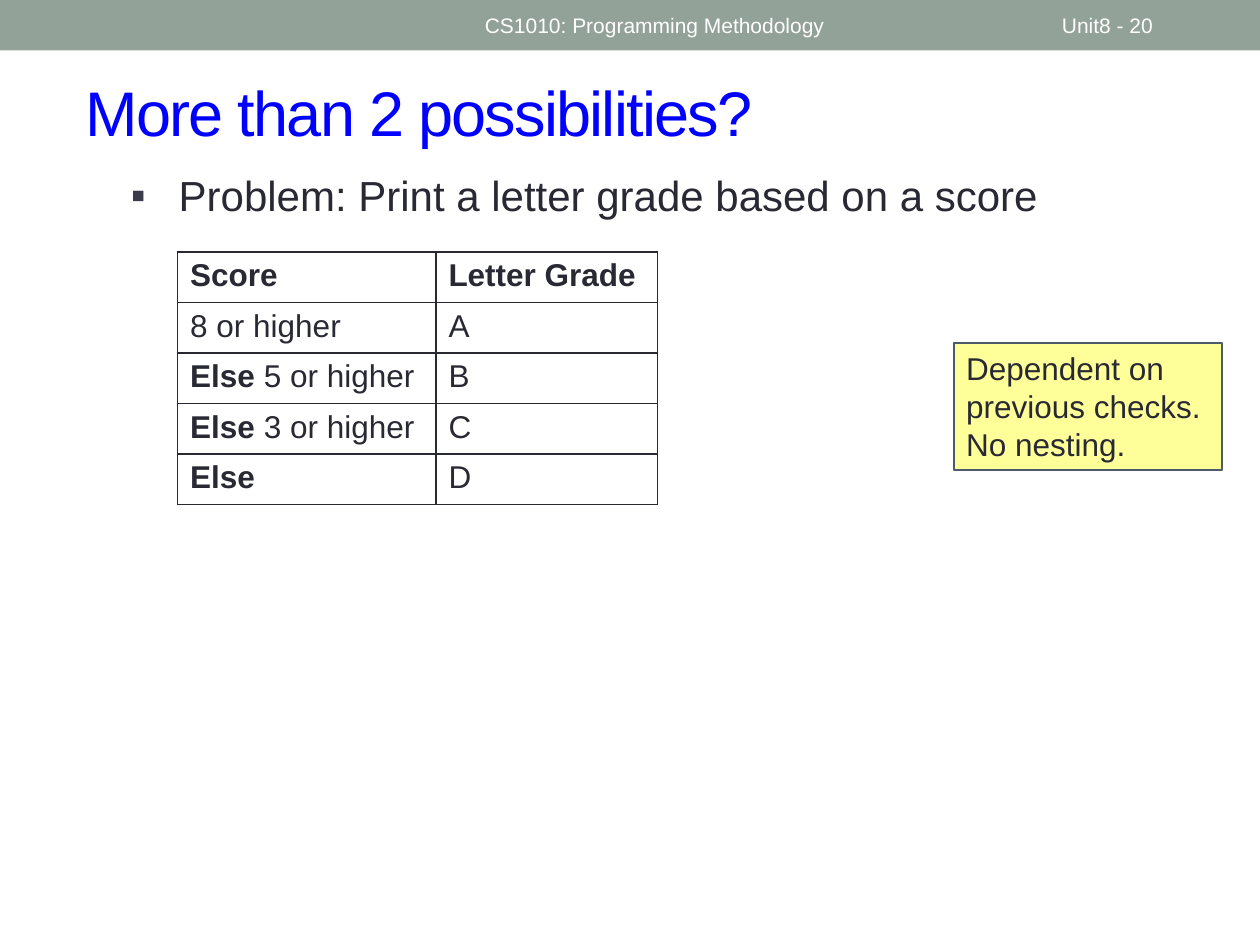
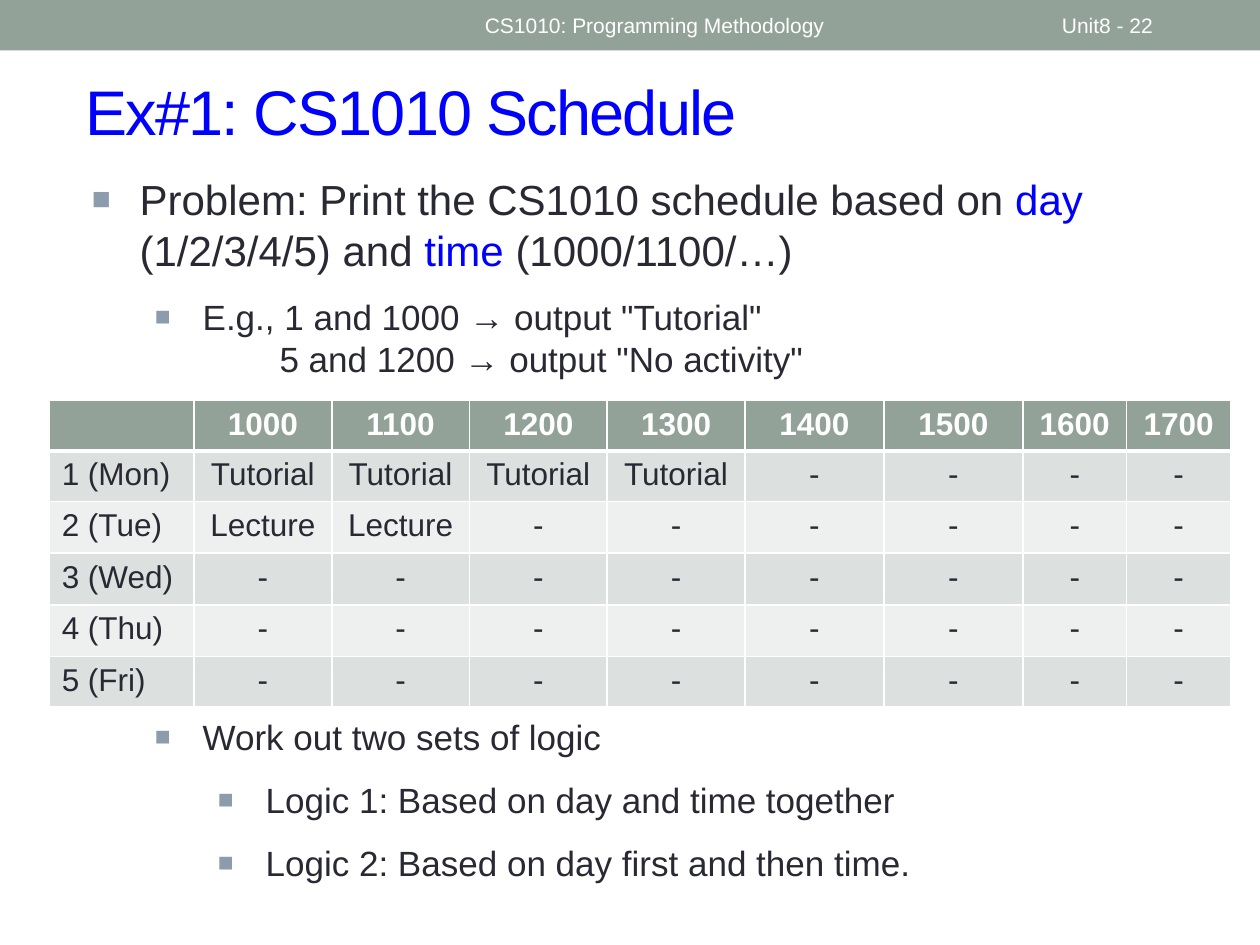
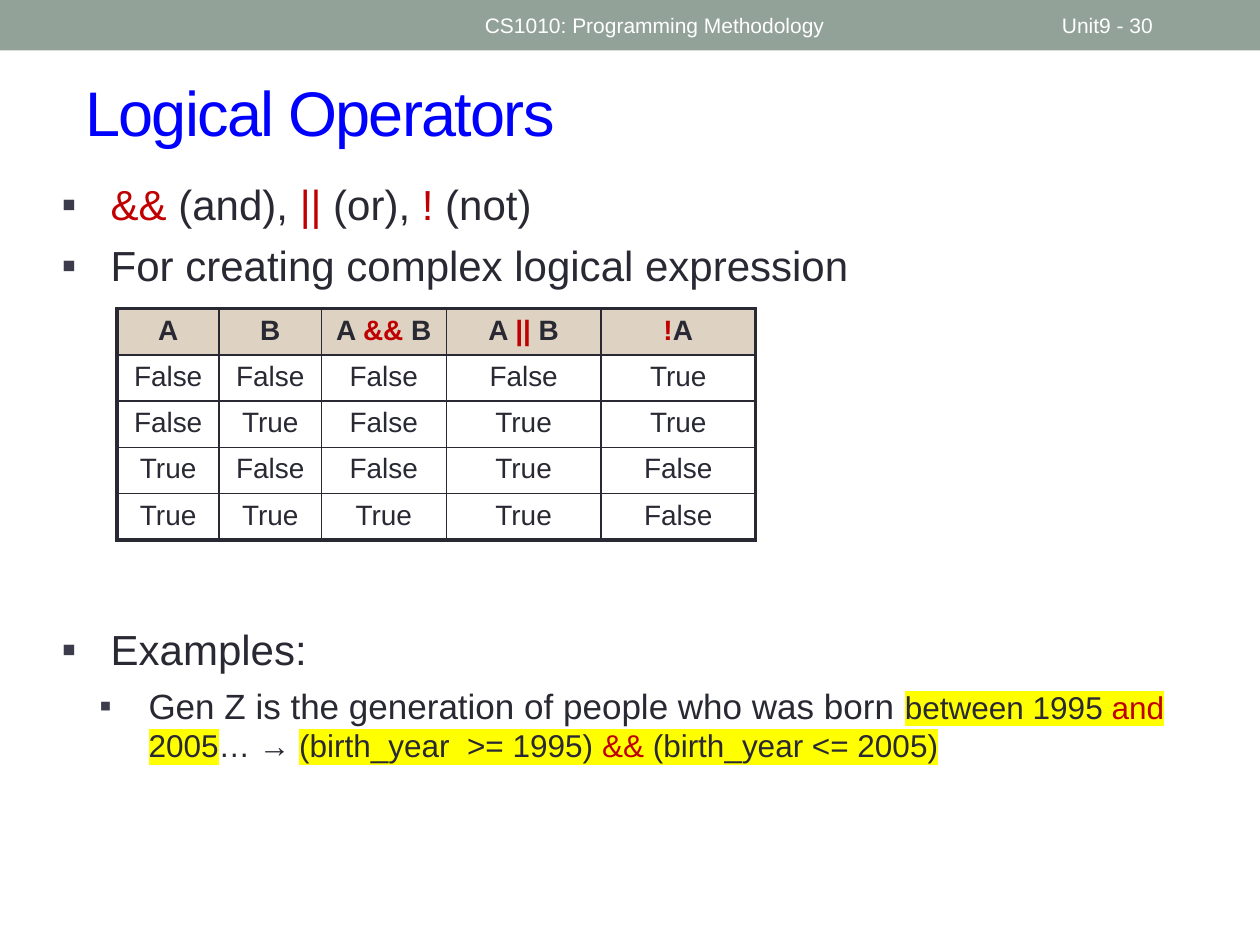
import dataclasses

import pptx
import pptx.dml.color
import pptx.enum.shapes
import pptx.enum.text
import pptx.oxml
import pptx.oxml.ns
import pptx.util


@dataclasses.dataclass(frozen=True)
class Theme:
    font: str = "Arial"
    ink: str = "292934"
    white: str = "FFFFFF"
    band: str = "93A299"
    blue: str = "0000FF"
    red: str = "C00000"
    marker: str = "FFFF00"
    note: str = "FFFF99"
    note_line: str = "4C5A6A"
    dark_bullet: str = "3B3B4B"
    pale_bullet: str = "8C9CAD"
    row_dark: str = "DCE0DE"
    row_light: str = "EEF0EF"
    sand: str = "DED2C2"
    title_size: int = 36
    body_size: int = 24
    sub_size: int = 20
    cell_size: int = 18
    small_size: int = 16
    band_size: int = 12


@dataclasses.dataclass(frozen=True)
class Bullet:
    char: str
    color: str
    percent: int
    space: float


T = Theme()
COLS, ROWS = 100, 75
WIDTH, HEIGHT = pptx.util.Inches(10), pptx.util.Inches(7.5)
SMALL_SQUARE = Bullet("▪", T.dark_bullet, 100, 6)
BIG_SQUARE = Bullet("■", T.pale_bullet, 75, 12)
TITLE_BOX = (5.8, 4.2, 91.7, 9.2)


def across(n):
    return round(WIDTH * n / COLS)


def down(n):
    return round(HEIGHT * n / ROWS)


def place(box):
    x, y, w, h = box
    return across(x), down(y), across(w), down(h)


def rgb(color):
    return pptx.dml.color.RGBColor.from_string(color)


def xml(parent, markup):
    tag, rest = markup.split(" ", 1)
    ns = pptx.oxml.ns.nsdecls("a")
    parent.append(pptx.oxml.parse_xml(f"<a:{tag} {ns} {rest}"))


def write(p, content, size, color=T.ink, bold=False):
    runs = [(content, {})] if isinstance(content, str) else content
    for text, style in runs:
        r = p.add_run()
        r.text = text
        r.font.color.rgb = rgb(style.get("color", color))
        if "mark" in style:
            xml(r.font._element, f'highlight ><a:srgbClr val="{style["mark"]}"/></a:highlight>')
        r.font.name = T.font
        r.font.size = pptx.util.Pt(style.get("size", size))
        r.font.bold = style.get("bold", bold)


def text_box(s, box, middle=False):
    tf = s.shapes.add_textbox(*place(box)).text_frame
    tf.word_wrap = True
    if middle:
        tf.vertical_anchor = pptx.enum.text.MSO_ANCHOR.MIDDLE
    return tf


def rectangle(s, box, fill, line=None):
    sp = s.shapes.add_shape(pptx.enum.shapes.MSO_SHAPE.RECTANGLE, *place(box))
    sp.shadow.inherit = False
    sp.fill.solid()
    sp.fill.fore_color.rgb = rgb(fill)
    if line:
        sp.line.color.rgb = rgb(line)
        sp.line.width = pptx.util.Pt(1)
    else:
        sp.line.fill.background()
    return sp


def header_band(s, box, page):
    x, y, w, h = box
    rectangle(s, box, T.band)
    for text, left, width in (
        ("CS1010: Programming Methodology", 0.375, 0.45),
        (page, 0.833, 0.117),
    ):
        part = (x + left * w, y + 0.05 * h, width * w, 0.9 * h)
        tf = text_box(s, part, middle=True)
        write(tf.paragraphs[0], text, T.band_size, T.white)


def title(s, box, text):
    p = text_box(s, box, middle=True).paragraphs[0]
    write(p, text, T.title_size, T.blue)
    p.runs[0].font._element.set("spc", "-100")


def bullets(s, box, style, hang, items):
    tf = text_box(s, box)
    for i, (content, level, left, size, extra) in enumerate(items):
        p = tf.paragraphs[0] if i == 0 else tf.add_paragraph()
        p.level = level
        if i:
            p.space_before = pptx.util.Pt(extra.get("space", style.space))
        pPr = p._p.get_or_add_pPr()
        pPr.set("marL", str(across(left)))
        if extra.get("plain"):
            pPr.set("indent", "0")
            xml(pPr, "buNone />")
        else:
            pPr.set("indent", str(-across(hang)))
            xml(pPr, f'buClr ><a:srgbClr val="{style.color}"/></a:buClr>')
            xml(pPr, f'buSzPct val="{style.percent * 1000}"/>')
            xml(pPr, f'buFont typeface="{T.font}"/>')
            xml(pPr, f'buChar char="{style.char}"/>')
        write(p, content, size)


def border(cell, color, widths):
    tcPr = cell._tc.get_or_add_tcPr()
    for side, width in zip("LRTB", widths):
        xml(tcPr, f'ln{side} w="{round(width * 12700)}"><a:solidFill>'
                  f'<a:srgbClr val="{color}"/></a:solidFill></a:ln{side}>')


def grid_table(s, origin, widths, heights, data, size, line, fills, edges,
               centred_from, head_color=T.ink):
    box = (*origin, sum(widths), sum(heights))
    table = s.shapes.add_table(len(heights), len(widths), *place(box)).table
    table.first_row = table.horz_banding = False
    for column, width in zip(table.columns, widths):
        column.width = across(width)
    for row, height in zip(table.rows, heights):
        row.height = down(height)
    for i, values in enumerate(data):
        for j, content in enumerate(values):
            cell = table.cell(i, j)
            border(cell, line, edges(i, j))
            if fills[i]:
                cell.fill.solid()
                cell.fill.fore_color.rgb = rgb(fills[i])
            else:
                cell.fill.background()
            p = cell.text_frame.paragraphs[0]
            if j >= centred_from:
                p.alignment = pptx.enum.text.PP_ALIGN.CENTER
            if content:
                write(p, content, size, T.ink if i else head_color, i == 0)


def note(s, box, lines):
    sp = rectangle(s, box, T.note, T.note_line)
    tf = sp.text_frame
    tf.word_wrap = True
    tf.vertical_anchor = pptx.enum.text.MSO_ANCHOR.TOP
    for i, line in enumerate(lines):
        p = tf.paragraphs[0] if i == 0 else tf.add_paragraph()
        p.alignment = pptx.enum.text.PP_ALIGN.LEFT
        write(p, line, T.cell_size)


def new_slide(prs, heading, page, title_box=TITLE_BOX):
    s = prs.slides.add_slide(prs.slide_layouts[6])
    header_band(s, (0, 0, COLS, 4), page)
    title(s, title_box, heading)
    return s


def possibilities_slide(prs):
    s = new_slide(prs, "More than 2 possibilities?", "Unit8 - 20")
    bullets(s, (6.4, 13, 90, 37), SMALL_SQUARE, 3.8, [
        ("Problem: Print a letter grade based on a score", 1, 6.8, T.body_size, {}),
    ])
    otherwise = ("Else", {"bold": True})
    grades = [
        ("Score", "Letter Grade"),
        ("8 or higher", "A"),
        ([otherwise, (" 5 or higher", {})], "B"),
        ([otherwise, (" 3 or higher", {})], "C"),
        ([otherwise], "D"),
    ]
    grid_table(s, (14.1, 20), (20.5, 17.6), [3.81] * 5, grades, T.cell_size,
               T.ink, [T.white] * 5, lambda i, j: (1, 1, 1, 1), 2)
    note(s, (75.7, 27.2, 21.3, 10.1), ["Dependent on previous checks.", "No nesting."])


def schedule_slide(prs):
    s = new_slide(prs, "Ex#1: CS1010 Schedule", "Unit8 - 22", (5.8, 5, 91.9, 7.5))
    blue = {"color": T.blue}
    bullets(s, (6.3, 13.3, 91.5, 14.5), BIG_SQUARE, 3.8, [
        ([("Problem: Print the CS1010 schedule based on ", {}), ("day ", blue),
          ("(1/2/3/4/5) and ", {}), ("time ", blue), ("(1000/1100/…)", {})],
         0, 3.8, T.body_size, {}),
        ('E.g., 1 and 1000 → output "Tutorial"', 1, 8.8, T.sub_size, {}),
        ('5 and 1200 → output "No activity"', 1, 14.9, T.sub_size,
         {"plain": True, "space": 0}),
        ("Work out two sets of logic", 1, 8.8, T.sub_size, {"space": 192}),
        ("Logic 1: Based on day and time together", 2, 13.8, T.sub_size, {}),
        ("Logic 2: Based on day first and then time.", 2, 13.8, T.sub_size, {}),
    ])
    hours = [str(hour) for hour in range(1000, 1800, 100)]
    days = [
        ("1 (Mon)", ["Tutorial"] * 4),
        ("2 (Tue)", ["Lecture"] * 2),
        ("3 (Wed)", []),
        ("4 (Thu)", []),
        ("5 (Fri)", []),
    ]
    data = [["", *hours]]
    for day, events in days:
        data.append([day, *events, *["-"] * (len(hours) - len(events))])
    fills = [T.band] + [T.row_light if i % 2 else T.row_dark for i in range(len(days))]
    grid_table(s, (3.9, 31.8), [11.5] + [10.93] * 4 + [11.03] * 2 + [8.25] * 2,
               (3.75, 3.75, 4.1, 4.1, 4.1, 3.75), data, T.cell_size, T.white, fills,
               lambda i, j: (1, 1, 3 if i == 1 else 1, 3 if i == 0 else 1), 1, T.white)


def operators_slide(prs):
    s = new_slide(prs, "Logical Operators", "Unit9 - 30")
    red, mark = {"color": T.red}, {"mark": T.marker, "size": T.cell_size}
    bullets(s, (3.9, 13.7, 91.8, 60.6), SMALL_SQUARE, 3.9, [
        ([("&&", red), (" (and), ", {}), ("||", red), (" (or), ", {}),
          ("!", red), (" (not)", {})], 0, 3.9, T.body_size, {}),
        ("For creating complex logical expression", 0, 3.9, T.body_size, {}),
        ("Examples:", 0, 3.9, T.body_size, {"space": 190.5}),
        ([("Gen Z is the generation of people who was born ", {}),
          ("between 1995", mark), (" and ", mark | red), ("2005", mark),
          ("… → ", {"size": T.cell_size}),
          ("(birth_year  >= 1995) ", mark), ("&&", mark | red),
          (" (birth_year <= 2005)", mark)], 1, 6.9, T.sub_size, {}),
    ])
    data = [["A", "B", [("A ", {}), ("&&", red), (" B", {})],
             [("A ", {}), ("||", red), (" B", {})], [("!", red), ("A", {})]]]
    for a in (False, True):
        for b in (False, True):
            data.append([str(v) for v in (a, b, a and b, a or b, not a)])
    thick = 2.25

    def edges(i, j):
        outer = (j == 0, j == len(data[0]) - 1, i == 0, i == len(data) - 1)
        return [thick if side else 1 for side in outer]

    grid_table(s, (9.3, 24.5), (8.1, 8.1, 9.93, 12.27, 12.27),
               [3.45] + [3.67] * 4, data, T.small_size, T.ink,
               [T.sand] + [None] * 4, edges, 0)


def main():
    prs = pptx.Presentation()
    prs.slide_width, prs.slide_height = WIDTH, HEIGHT
    possibilities_slide(prs)
    schedule_slide(prs)
    operators_slide(prs)
    prs.save("out.pptx")


if __name__ == "__main__":
    main()
